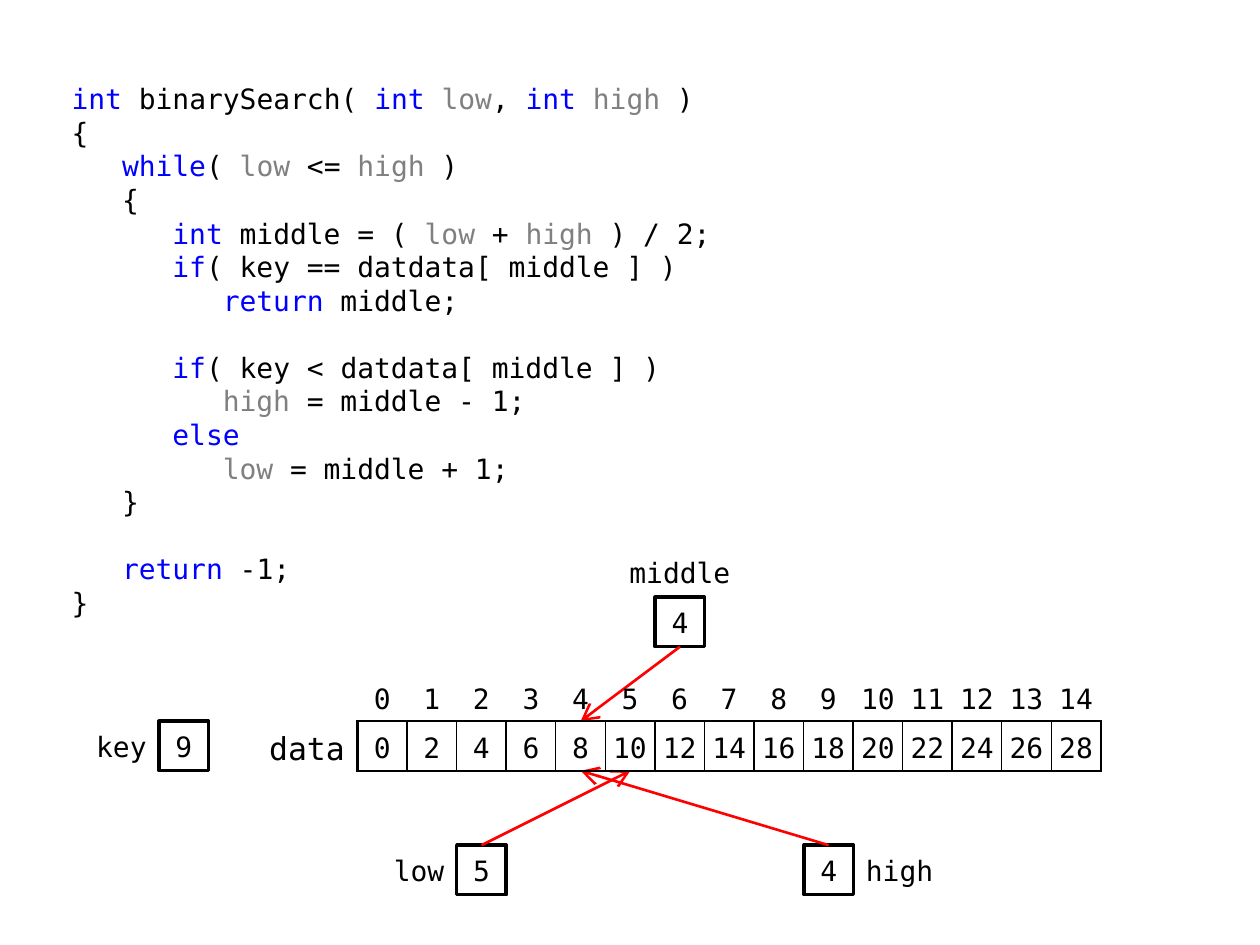
from lxml.etree import SubElement
from pptx import Presentation
from pptx.dml.color import RGBColor
from pptx.enum.shapes import MSO_CONNECTOR, MSO_SHAPE
from pptx.enum.text import MSO_ANCHOR, PP_ALIGN
from pptx.oxml.ns import qn
from pptx.util import Inches, Pt

BLACK = RGBColor(0x00, 0x00, 0x00)
WHITE = RGBColor(0xFF, 0xFF, 0xFF)
BLUE = RGBColor(0x00, 0x00, 0xFF)
GRAY = RGBColor(0x80, 0x80, 0x80)
RED = RGBColor(0xFF, 0x00, 0x00)
FONT = "DejaVu Sans Mono"
CELL = Inches(1 / 2.54)
LEFT, TOP = Inches(2.05), Inches(5.33)
ABOVE, BELOW = 0, 2
COUNT = 15

HUES = dict.fromkeys(["int", "while", "if", "else", "return"], BLUE)
HUES.update(low=GRAY, high=GRAY)

CODE = [
    (0, "int |binarySearch( |int |low|, |int |high| )"),
    (0, "{"),
    (1, "while|( |low| <= |high| )"),
    (1, "{"),
    (2, "int| middle = ( |low| + |high| ) / 2;"),
    (2, "if|( key == datdata[ middle ] )"),
    (3, "return| middle;"),
    (2, "if|( key < datdata[ middle ] )"),
    (3, "high| = middle - 1;"),
    (2, "else"),
    (3, "low| = middle + 1;"),
    (1, "}"),
    (1, "return| -1;"),
    (0, "}"),
]
GAPS = (7, 12)


def write(para, text, size=16, align=PP_ALIGN.LEFT, hues=None,
          level=0, before=0, leading=None):
    para.alignment = align
    para.space_before = Pt(before)
    if leading:
        para.line_spacing = leading
    if level:
        para._p.get_or_add_pPr().set("marL", str(Inches(0.4 * level)))
    for piece in text.split("|"):
        run = para.add_run()
        run.text = piece
        run.font.name = FONT
        run.font.size = Pt(size)
        run.font.color.rgb = (hues or {}).get(piece.strip(), BLACK)


def spot(col, row):
    return round(LEFT + col * CELL), round(TOP + row * CELL)


class Page:
    def __init__(self, slide):
        self.shapes = slide.shapes
        self.ink = BLACK

    def code(self, lines):
        box = self.shapes.add_textbox(
            Inches(0.47), Inches(0.6), Inches(5.32), Inches(4.33))
        frame = box.text_frame
        frame.word_wrap = True
        for i, (level, text) in enumerate(lines):
            para = frame.add_paragraph() if i else frame.paragraphs[0]
            write(para, text, hues=HUES, level=level, leading=Pt(19.2),
                  before=19.2 if i in GAPS else 0)

    def label(self, text, col, row, width, align):
        box = self.shapes.add_textbox(*spot(col, row), round(width * CELL), CELL)
        frame = box.text_frame
        frame.word_wrap = False
        frame.vertical_anchor = MSO_ANCHOR.MIDDLE
        if align == PP_ALIGN.RIGHT:
            frame.margin_left = 0
        write(frame.paragraphs[0], text, align=align)

    def box(self, text, col, row):
        shape = self.shapes.add_shape(
            MSO_SHAPE.RECTANGLE, *spot(col, row), CELL, CELL)
        shape.shadow.inherit = False
        shape.fill.solid()
        shape.fill.fore_color.rgb = WHITE
        shape.line.color.rgb = self.ink
        shape.line.width = Pt(2)
        frame = shape.text_frame
        frame.margin_left = frame.margin_right = Inches(0.04)
        frame.vertical_anchor = MSO_ANCHOR.MIDDLE
        write(frame.paragraphs[0], text, align=PP_ALIGN.CENTER)
        return shape

    def arrow(self, box, side, col, row):
        end = spot(col, row)
        line = self.shapes.add_connector(MSO_CONNECTOR.STRAIGHT, *end, *end)
        line.begin_connect(box, side)
        line.line.color.rgb = RED
        line.line.width = Pt(1.5)
        SubElement(line.line._get_or_add_ln(), qn("a:tailEnd"),
                   type="arrow", w="lg", len="lg")
        SubElement(line._element.spPr, qn("a:effectLst"))

    def edge(self, cell, **sides):
        cell.margin_top = cell.margin_bottom = 0
        props = cell._tc.get_or_add_tcPr()
        for side in "LRTB":
            width = sides.get(side, 0)
            line = SubElement(props, qn("a:ln" + side), w=str(Pt(width)))
            if width:
                fill = SubElement(line, qn("a:solidFill"))
                SubElement(fill, qn("a:srgbClr"), val=str(self.ink))
            else:
                SubElement(line, qn("a:noFill"))
        cell.fill.background()

    def cell(self, cell, text, size=16, align=PP_ALIGN.CENTER, pad=0):
        cell.margin_left = 0
        cell.margin_right = Inches(pad)
        cell.vertical_anchor = MSO_ANCHOR.MIDDLE
        write(cell.text_frame.paragraphs[0], text, size=size, align=align,
              before=3, leading=1.2)

    def grid(self, name, data):
        table = self.shapes.add_table(
            2, len(data) + 1, LEFT, TOP, (len(data) + 2) * CELL, 2 * CELL).table
        table.first_row = table.horz_banding = False
        for row in table.rows:
            row.height = CELL
        for col in table.columns:
            col.width = CELL
        table.columns[0].width = 2 * CELL
        self.edge(table.cell(0, 0))
        self.cell(table.cell(1, 0), name, 18, PP_ALIGN.RIGHT, 0.1)
        self.edge(table.cell(1, 0), R=1.5)
        last = len(data)
        for i, value in enumerate(data, 1):
            head, body = table.cell(0, i), table.cell(1, i)
            self.cell(head, str(i - 1))
            self.edge(head, B=1.5)
            self.cell(body, str(value))
            self.edge(body, L=1.5 if i == 1 else 1,
                      R=1.5 if i == last else 1, T=1.5, B=1.5)


def main():
    deck = Presentation()
    deck.slide_width, deck.slide_height = Inches(10), Inches(7.5)
    page = Page(deck.slides.add_slide(deck.slide_layouts[6]))
    page.code(CODE)
    page.label("middle", 7, -2.5, 3, PP_ALIGN.CENTER)
    low = page.box("5", 4, 3.5)
    high = page.box("4", 11, 3.5)
    mid = page.box("4", 8, -1.5)
    page.label("low", 2.5, 3.5, 1.5, PP_ALIGN.RIGHT)
    page.arrow(low, ABOVE, 7.5, 2)
    page.label("high", 12, 3.5, 2, PP_ALIGN.LEFT)
    page.arrow(high, ABOVE, 6.5, 2)
    page.arrow(mid, BELOW, 6.5, 1)
    page.grid("data", range(0, 2 * COUNT, 2))
    page.box("9", -2, 1)
    page.label("key", -3.5, 1, 1.5, PP_ALIGN.RIGHT)
    deck.save("out.pptx")


if __name__ == "__main__":
    main()
